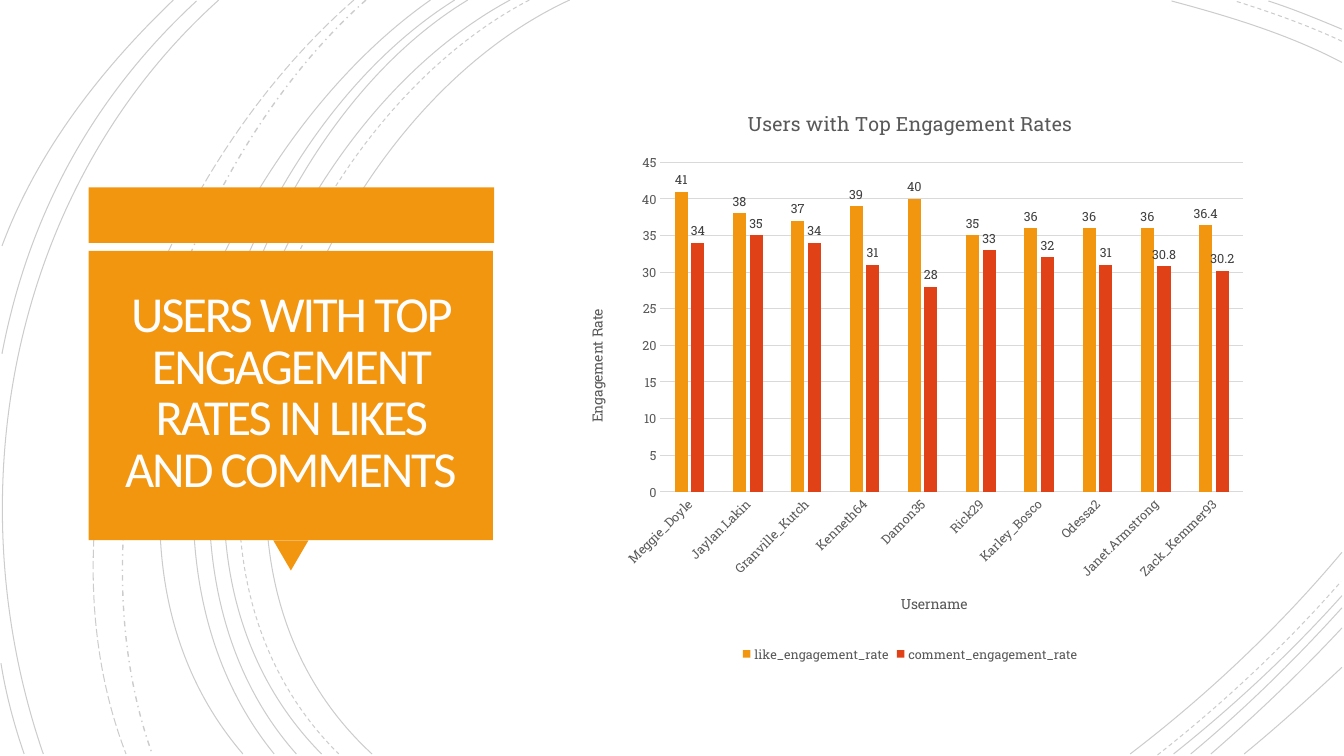
"""Build a slide with a title callout, sweeping curves and a column chart of engagement rates."""
from lxml import etree
from pptx import Presentation
from pptx.chart.data import CategoryChartData
from pptx.dml.color import RGBColor
from pptx.enum.chart import XL_CHART_TYPE, XL_LABEL_POSITION, XL_LEGEND_POSITION, XL_TICK_MARK
from pptx.enum.dml import MSO_LINE
from pptx.enum.shapes import MSO_SHAPE
from pptx.enum.text import MSO_ANCHOR, MSO_AUTO_SIZE, PP_ALIGN
from pptx.oxml.ns import qn
from pptx.util import Pt

PX = 9144
SLIDE_SIZE = (1333, 750)
TITLE_ONLY = 5
TITLE_FONT, CHART_FONT = "Calibri", "Roboto Slab"
COLORS = {"panel": "F3960F", "comments": "E04116", "title": "FFFEFF", "curve": "000000",
          "axis": "595959", "label": "404040", "grid": "D9D9D9"}
SOLID, DASH = MSO_LINE.SOLID, MSO_LINE.DASH
DASH_DOT, LONG_DASH = MSO_LINE.DASH_DOT, MSO_LINE.LONG_DASH
RECTANGLE, TRIANGLE = MSO_SHAPE.RECTANGLE, MSO_SHAPE.ISOSCELES_TRIANGLE
MIDDLE, CENTER, NO_FIT = MSO_ANCHOR.MIDDLE, PP_ALIGN.CENTER, MSO_AUTO_SIZE.NONE
COLUMNS, OUTSIDE_END = XL_CHART_TYPE.COLUMN_CLUSTERED, XL_LABEL_POSITION.OUTSIDE_END
BOTTOM, NO_TICK = XL_LEGEND_POSITION.BOTTOM, XL_TICK_MARK.NONE
AUTO_ROTATION = "-60000000"

CURVES = [
    (SOLID, (565, 0), (315, 115), (143, 540), (369, 748)),
    (SOLID, (1331, 62), (1278, 34), (1218, 16), (1162, 1)),
    (SOLID, (1121, 748), (1197, 690), (1269, 622), (1331, 548)),
    (DASH, (525, 0), (285, 125), (123, 537), (336, 748)),
    (DASH, (1331, 41), (1297, 25), (1260, 12), (1225, 1)),
    (DASH, (1148, 749), (1213, 698), (1275, 640), (1330, 577)),
    (SOLID, (506, 0), (270, 127), (110, 537), (319, 748)),
    (SOLID, (1331, 29), (1307, 19), (1283, 9), (1258, 1)),
    (SOLID, (1164, 748), (1223, 701), (1280, 648), (1331, 591)),
    (SOLID, (464, 0), (244, 133), (110, 541), (294, 748)),
    (SOLID, (1181, 748), (1234, 704), (1284, 655), (1331, 603)),
    (SOLID, (451, 0), (231, 138), (97, 533), (272, 748)),
    (SOLID, (1201, 748), (1246, 709), (1290, 667), (1331, 623)),
    (SOLID, (427, 0), (217, 147), (53, 529), (241, 748)),
    (SOLID, (1234, 748), (1267, 721), (1299, 692), (1331, 662)),
    (DASH_DOT, (363, 0), (176, 166), (65, 509), (151, 748)),
    (LONG_DASH, (351, 0), (157, 169), (29, 499), (125, 748)),
    (SOLID, (217, 0), (11, 185), (-46, 490), (43, 748)),
    (SOLID, (195, 1), (92, 96), (28, 214), (2, 351)),
    (SOLID, (1, 658), (6, 689), (14, 719), (24, 748)),
    (SOLID, (172, 0), (100, 69), (37, 150), (2, 244)),
]
USERS = ["Meggie_Doyle", "Jaylan.Lakin", "Granville_Kutch", "Kenneth64", "Damon35",
         "Rick29", "Karley_Bosco", "Odessa2", "Janet.Armstrong", "Zack_Kemmer93"]
SERIES = [
    ("like_engagement_rate", "panel", (41, 38, 37, 39, 40, 35, 36, 36, 36, 36.4)),
    ("comment_engagement_rate", "comments", (34, 35, 34, 31, 28, 33, 32, 31, 30.8, 30.2)),
]


def rgb(name):
    """Return the named colour."""
    return RGBColor.from_string(COLORS[name])


def emu(*lengths):
    """Turn pixel lengths into EMU."""
    return [length * PX for length in lengths]


def style_font(font, typeface, size, color):
    """Set typeface, size and colour of a font."""
    font.name, font.size, font.bold = typeface, Pt(size), False
    font.color.rgb = rgb(color)


def bend(shape):
    """Turn the three segments of a freeform into one cubic curve."""
    segments = list(shape._element.iter(qn("a:lnTo")))
    curve = etree.SubElement(segments[0].getparent(), qn("a:cubicBezTo"))
    for segment in segments:
        curve.append(segment[0])
        segment.getparent().remove(segment)


def add_curves(slide, left, top):
    """Draw the faint background curves from the given corner."""
    for dash, *points in CURVES:
        start, *rest = [emu(left + x, top + y) for x, y in points]
        builder = slide.shapes.build_freeform(*start, scale=1)
        builder.add_line_segments(rest, close=False)
        shape = builder.convert_to_shape()
        bend(shape)
        shape.shadow.inherit = False
        shape.fill.background()
        shape.line.color.rgb = rgb("curve")
        shape.line.width = Pt(1 if dash == DASH_DOT else 0.75)
        shape.line.dash_style = dash
        color = shape.line._get_or_add_ln().find(".//" + qn("a:srgbClr"))
        etree.SubElement(color, qn("a:alpha"), val="20000")


def add_callout(slide, left, top, width, height):
    """Draw the banner, the pointed panel and the title inside the box."""
    panel_top, pointer_top = top + 63, top + height - 30
    parts = [
        (RECTANGLE, left, top, width, 55, 0),
        (TRIANGLE, left + 183, pointer_top, 35, 30, 180),
        (RECTANGLE, left, panel_top, width - 1, pointer_top - panel_top, 0),
    ]
    for kind, *box, rotation in parts:
        shape = slide.shapes.add_shape(kind, *emu(*box))
        shape.shadow.inherit = False
        shape.fill.solid()
        shape.fill.fore_color.rgb = rgb("panel")
        shape.line.fill.background()
        shape.rotation = rotation

    title = slide.shapes.title
    slide.shapes._spTree.append(title._element)
    title.left, title.top, title.width, title.height = emu(left + 9, panel_top + 8, width - 19, 269)
    frame = title.text_frame
    frame.text = "USERS WITH TOP ENGAGEMENT RATES IN LIKES AND COMMENTS"
    frame.word_wrap, frame.auto_size, frame.vertical_anchor = True, NO_FIT, MIDDLE
    frame.margin_left, frame.margin_top, frame.margin_right, frame.margin_bottom = emu(25, 25, 25, 25)
    paragraph = frame.paragraphs[0]
    paragraph.alignment, paragraph.line_spacing = CENTER, 0.85
    run = paragraph.runs[0]
    style_font(run.font, TITLE_FONT, 36, "title")
    run._r.get_or_add_rPr().set("spc", "-150")


def set_layout(element, index, chart_size, **lengths):
    """Place a chart part at pixel lengths inside the chart."""
    for old in element.findall(qn("c:layout")):
        element.remove(old)
    layout = etree.Element(qn("c:layout"))
    manual = etree.SubElement(layout, qn("c:manualLayout"))
    if "w" in lengths:
        etree.SubElement(manual, qn("c:layoutTarget"), val="inner")
    for key in ("x", "y"):
        etree.SubElement(manual, qn(f"c:{key}Mode"), val="edge")
    for key, length in lengths.items():
        fraction = length / chart_size[key in "yh"]
        etree.SubElement(manual, qn(f"c:{key}"), val=str(fraction))
    element.insert(index, layout)


def set_chart_title(title, chart_size, text, size, x, y):
    """Write and place a chart or axis title."""
    title.text_frame.text = text
    style_font(title.text_frame.paragraphs[0].runs[0].font, CHART_FONT, size, "axis")
    set_layout(title._element, 1, chart_size, x=x, y=y)


def add_engagement_chart(slide, left, top, *size):
    """Draw the clustered columns of likes and comments in the box."""
    data = CategoryChartData()
    data.categories = USERS
    for name, _, values in SERIES:
        data.add_series(name, values)
    chart = slide.shapes.add_chart(COLUMNS, *emu(left, top, *size), data).chart
    style_font(chart.font, CHART_FONT, 10, "axis")
    set_chart_title(chart.chart_title, size, "Users with Top Engagement Rates", 14, 179, 17)
    set_layout(chart._chartSpace.chart.plotArea, 0, size, x=96, y=74, w=578, h=327)
    chart.has_legend = True
    chart.legend.position, chart.legend.include_in_layout = BOTTOM, False
    style_font(chart.legend.font, CHART_FONT, 9, "axis")

    users, rates = chart.category_axis, chart.value_axis
    for axis, *title in ((users, "Username", 10, 332, 499),
                         (rates, "Engagement Rate", 10, 20, 217)):
        set_chart_title(axis.axis_title, size, *title)
        axis.major_tick_mark = axis.minor_tick_mark = NO_TICK
        style_font(axis.tick_labels.font, CHART_FONT, 9, "axis")
    users._element.find(qn("c:txPr")).find(qn("a:bodyPr")).set("rot", AUTO_ROTATION)
    rates.minimum_scale, rates.maximum_scale, rates.major_unit = 0, 45, 5
    rates.format.line.fill.background()
    for line in (users.format.line, rates.major_gridlines.format.line):
        line.color.rgb, line.width = rgb("grid"), Pt(0.75)

    plot = chart.plots[0]
    plot.gap_width, plot.overlap, plot.vary_by_categories = 219, -27, False
    for series, (_, color, _) in zip(plot.series, SERIES):
        series.format.fill.solid()
        series.format.fill.fore_color.rgb = rgb(color)
        labels = series.data_labels
        labels.show_value, labels.position = True, OUTSIDE_END
        style_font(labels.font, CHART_FONT, 9, "label")


def main():
    """Build and save the presentation."""
    presentation = Presentation()
    presentation.slide_width, presentation.slide_height = emu(*SLIDE_SIZE)
    slide = presentation.slides.add_slide(presentation.slide_layouts[TITLE_ONLY])
    add_curves(slide, 0, 0)
    add_callout(slide, 88, 186, 402, 380)
    add_engagement_chart(slide, 559, 87, 687, 574)
    presentation.save("out.pptx")


if __name__ == "__main__":
    main()
